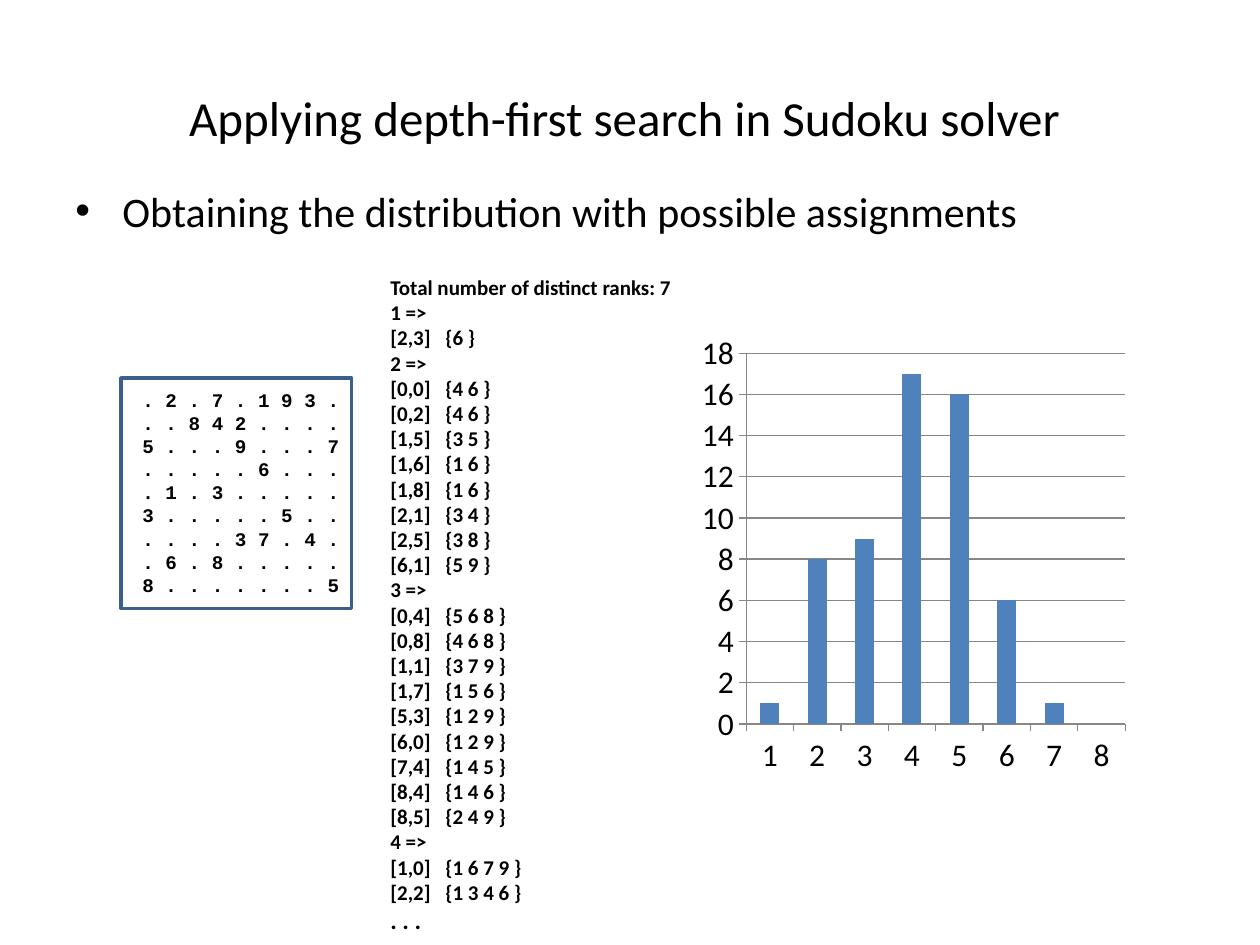
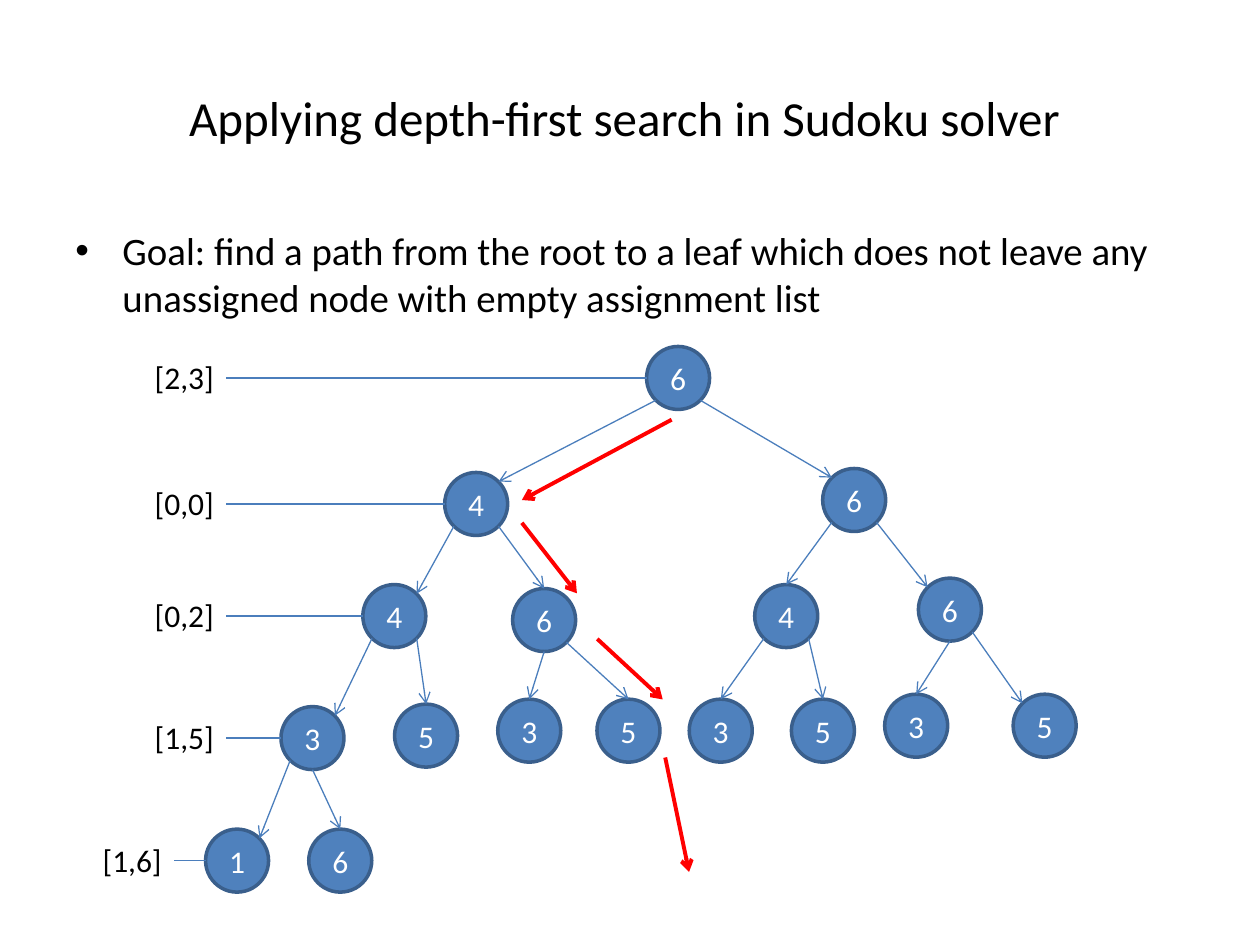
from lxml import etree
from pptx import Presentation
from pptx.chart.data import CategoryChartData as ChartData
from pptx.dml.color import RGBColor
from pptx.enum.chart import XL_CHART_TYPE as Chart, XL_TICK_MARK as Tick
from pptx.enum.shapes import MSO_CONNECTOR as Link, MSO_SHAPE as Shape
from pptx.enum.text import MSO_ANCHOR as Anchor, PP_ALIGN as Align
from pptx.oxml.ns import qn
from pptx.util import Cm, Pt

BLACK = RGBColor(0x00, 0x00, 0x00)
WHITE = RGBColor(0xFF, 0xFF, 0xFF)
BLUE = RGBColor(0x4F, 0x81, 0xBD)
EDGE = RGBColor(0x3A, 0x5F, 0x8C)
WIRE = RGBColor(0x4B, 0x7E, 0xBC)
RED = RGBColor(0xFF, 0x00, 0x00)
GRAY = RGBColor(0x87, 0x87, 0x87)
SANS, MONO = "Calibri", "Courier New"

TITLE = "Applying depth-first search in Sudoku solver "
SPREAD = "Obtaining the distribution with possible assignments"
GOAL = ("Goal: find a path from the root to a leaf which does not leave any "
        "unassigned node with empty assignment list")

BOARD = [
    ". 2 . 7 . 1 9 3 .",
    ". . 8 4 2 . . . .",
    "5 . . . 9 . . . 7",
    ". . . . . 6 . . .",
    ". 1 . 3 . . . . .",
    "3 . . . . . 5 . .",
    ". . . . 3 7 . 4 .",
    ". 6 . 8 . . . . .",
    "8 . . . . . . . 5",
]
RANKS = {
    1: {"2,3": "6"},
    2: {"0,0": "4 6", "0,2": "4 6", "1,5": "3 5", "1,6": "1 6",
        "1,8": "1 6", "2,1": "3 4", "2,5": "3 8", "6,1": "5 9"},
    3: {"0,4": "5 6 8", "0,8": "4 6 8", "1,1": "3 7 9", "1,7": "1 5 6",
        "5,3": "1 2 9", "6,0": "1 2 9", "7,4": "1 4 5", "8,4": "1 4 6",
        "8,5": "2 4 9"},
    4: {"1,0": "1 6 7 9", "2,2": "1 3 4 6"},
}
COUNTS = [1, 8, 9, 17, 16, 6, 1, 0]

# Path from the root T: digit, centre x and y, side the edge leaves the
# parent from, side it enters this node at.
NODES = {
    "T": ("6", 13.67, 7.62, None, None),
    "TL": ("4", 9.6, 10.16, "SW", "NE"),
    "TR": ("6", 17.22, 10.08, "SE", "NW"),
    "TLL": ("4", 7.95, 12.42, "SW", "NE"),
    "TLR": ("6", 10.97, 12.5, "SE", "N"),
    "TRL": ("4", 15.85, 12.42, "SW", "N"),
    "TRR": ("6", 19.15, 12.29, "SE", "NW"),
    "TLLL": ("3", 6.3, 14.88, "SW", "NE"),
    "TLLR": ("5", 8.59, 14.83, "SE", "N"),
    "TLRL": ("3", 10.67, 14.73, "S", "N"),
    "TLRR": ("5", 12.67, 14.73, "SE", "N"),
    "TRLL": ("3", 14.53, 14.73, "SW", "N"),
    "TRLR": ("5", 16.59, 14.73, "SE", "N"),
    "TRRL": ("3", 18.47, 14.63, "S", "N"),
    "TRRR": ("5", 21.06, 14.63, "SE", "NW"),
    "TLLLL": ("1", 4.78, 17.35, "SW", "NE"),
    "TLLLR": ("6", 6.86, 17.35, "S", "N"),
}
RADIUS = 0.635
# Cell, leftmost node of the level, left end of its line
LEVELS = [("[2,3]", "T", 4.55), ("[0,0]", "TL", 4.55), ("[0,2]", "TLL", 4.55),
          ("[1,5]", "TLLL", 4.55), ("[1,6]", "TLLLL", 3.5)]
TRAIL = [((13.54, 8.46), (10.52, 10.08)), ((10.52, 10.54), (11.63, 11.96)),
         ((12.04, 12.88), (13.36, 14.1)), ((13.41, 15.27), (13.89, 17.58))]


def box(at):
    return [Cm(n) for n in at]


def add_run(para, text, size, color=BLACK, font=SANS, bold=False):
    run = para.add_run()
    run.text = text
    run.font.name, run.font.size, run.font.bold = font, Pt(size), bold
    run.font.color.rgb = color


def add_text(slide, at, lines, size, **style):
    frame = slide.shapes.add_textbox(*box(at)).text_frame
    frame.word_wrap = True
    for i, line in enumerate(lines):
        para = frame.add_paragraph() if i else frame.paragraphs[0]
        add_run(para, line, size, **style)
    return frame


def add_page(deck, point, top, high, size):
    """Add a slide with the shared title and one bullet."""
    slide = deck.slides.add_slide(deck.slide_layouts[6])
    head = add_text(slide, (1.27, 0.76, 22.86, 3.18), [TITLE], 28)
    head.vertical_anchor = Anchor.MIDDLE
    head.paragraphs[0].alignment = Align.CENTER
    body = add_text(slide, (1.27, top, 22.86, high), [point], size)
    props = body.paragraphs[0]._p.get_or_add_pPr()
    props.set("marL", str(Cm(0.95)))
    props.set("indent", str(Cm(-0.95)))
    etree.SubElement(props, qn("a:buFont")).set("typeface", "Arial")
    etree.SubElement(props, qn("a:buChar")).set("char", "•")
    return slide


def add_form(slide, kind, at):
    form = slide.shapes.add_shape(kind, *box(at))
    form.shadow.inherit = False
    form.line.color.rgb, form.line.width = EDGE, Pt(2)
    return form


def add_line(slide, start, end, color=WIRE, width=0.75, arrow=True):
    line = slide.shapes.add_connector(Link.STRAIGHT, *box(start + end))
    line.line.color.rgb, line.line.width = color, Pt(width)
    if arrow:
        tail = etree.SubElement(line.line._get_or_add_ln(), qn("a:tailEnd"))
        tail.set("type", "arrow")
    etree.SubElement(line._element.spPr, qn("a:effectLst"))


def add_board(slide):
    frame = add_text(slide, (2.87, 7.82, 4.2, 4.4), BOARD, 11,
                     font=MONO, bold=True)
    frame.margin_left = frame.margin_right = 0
    frame.margin_top = frame.margin_bottom = 0
    for para in frame.paragraphs:
        para.line_spacing = Pt(13.25)
    add_form(slide, Shape.RECTANGLE, (2.44, 7.62, 4.65, 4.65)).fill.background()


def add_ranks(slide):
    lines = [f"Total number of distinct ranks: {len(COUNTS) - 1}"]
    for rank, cells in RANKS.items():
        lines.append(f"{rank} =>")
        lines += [f"[{cell}]\t{{{opts} }}" for cell, opts in cells.items()]
    frame = add_text(slide, (7.62, 5.41, 8.46, 13.59), lines, 12, bold=True)
    for para in frame.paragraphs:
        tabs = etree.SubElement(para._p.get_or_add_pPr(), qn("a:tabLst"))
        stop = etree.SubElement(tabs, qn("a:tab"))
        stop.set("pos", str(Cm(1.11)))
        stop.set("algn", "l")
    add_run(frame.add_paragraph(), ". . .", 14, bold=True)


def add_chart(slide):
    data = ChartData()
    data.categories = [str(n + 1) for n in range(len(COUNTS))]
    data.add_series("Series 1", COUNTS)
    chart = slide.shapes.add_chart(Chart.COLUMN_CLUSTERED,
                                   *box((13.97, 6.55, 8.89, 9.25)), data).chart
    chart.has_legend = chart.has_title = False
    chart.font.name, chart.font.size = SANS, Pt(18)
    chart.font.color.rgb = BLACK
    plot = chart.plots[0]
    plot.gap_width, plot.vary_by_categories = 150, False
    fill = plot.series[0].format.fill
    fill.solid()
    fill.fore_color.rgb = BLUE
    scale = chart.value_axis
    scale.minimum_scale, scale.maximum_scale, scale.major_unit = 0, 18, 2
    scale.has_major_gridlines = True
    chart.category_axis.has_major_gridlines = False
    for axis in (scale, chart.category_axis):
        axis.major_tick_mark, axis.minor_tick_mark = Tick.OUTSIDE, Tick.NONE
        axis.format.line.color.rgb = GRAY
    scale.major_gridlines.format.line.color.rgb = GRAY


def rim(key, side):
    """Point on a node's rim at a compass side."""
    x, y = NODES[key][1:3]
    reach = RADIUS * (0.71 if len(side) == 2 else 1)
    dx = ("E" in side) - ("W" in side)
    dy = ("S" in side) - ("N" in side)
    return x + dx * reach, y + dy * reach


def add_node(slide, digit, x, y):
    ball = add_form(slide, Shape.OVAL,
                    (x - RADIUS, y - RADIUS, 2 * RADIUS, 2 * RADIUS))
    ball.fill.solid()
    ball.fill.fore_color.rgb = BLUE
    frame = ball.text_frame
    frame.margin_left = frame.margin_right = 0
    frame.margin_top = frame.margin_bottom = 0
    frame.vertical_anchor = Anchor.MIDDLE
    frame.paragraphs[0].alignment = Align.CENTER
    add_run(frame.paragraphs[0], digit, 18, WHITE)


def add_tree(slide):
    for key, (digit, x, y, leave, enter) in NODES.items():
        add_node(slide, digit, x, y)
        if leave:
            add_line(slide, rim(key[:-1], leave), rim(key, enter))
    for cell, key, tip in LEVELS:
        x, y = rim(key, "W")
        add_line(slide, (x, y), (tip, y), arrow=False)
        add_text(slide, (tip - 1.68, y - 0.53, 1.9, 1.02), [cell], 18)
    for start, end in TRAIL:
        add_line(slide, start, end, RED, 2.25)


def main():
    deck = Presentation()
    deck.slide_width, deck.slide_height = Cm(25.4), Cm(19.05)
    first = add_page(deck, SPREAD, 3.61, 1.27, 24)
    add_board(first)
    add_ranks(first)
    add_chart(first)
    add_tree(add_page(deck, GOAL, 4.45, 1.9, 22.2))
    deck.save("out.pptx")


if __name__ == "__main__":
    main()
